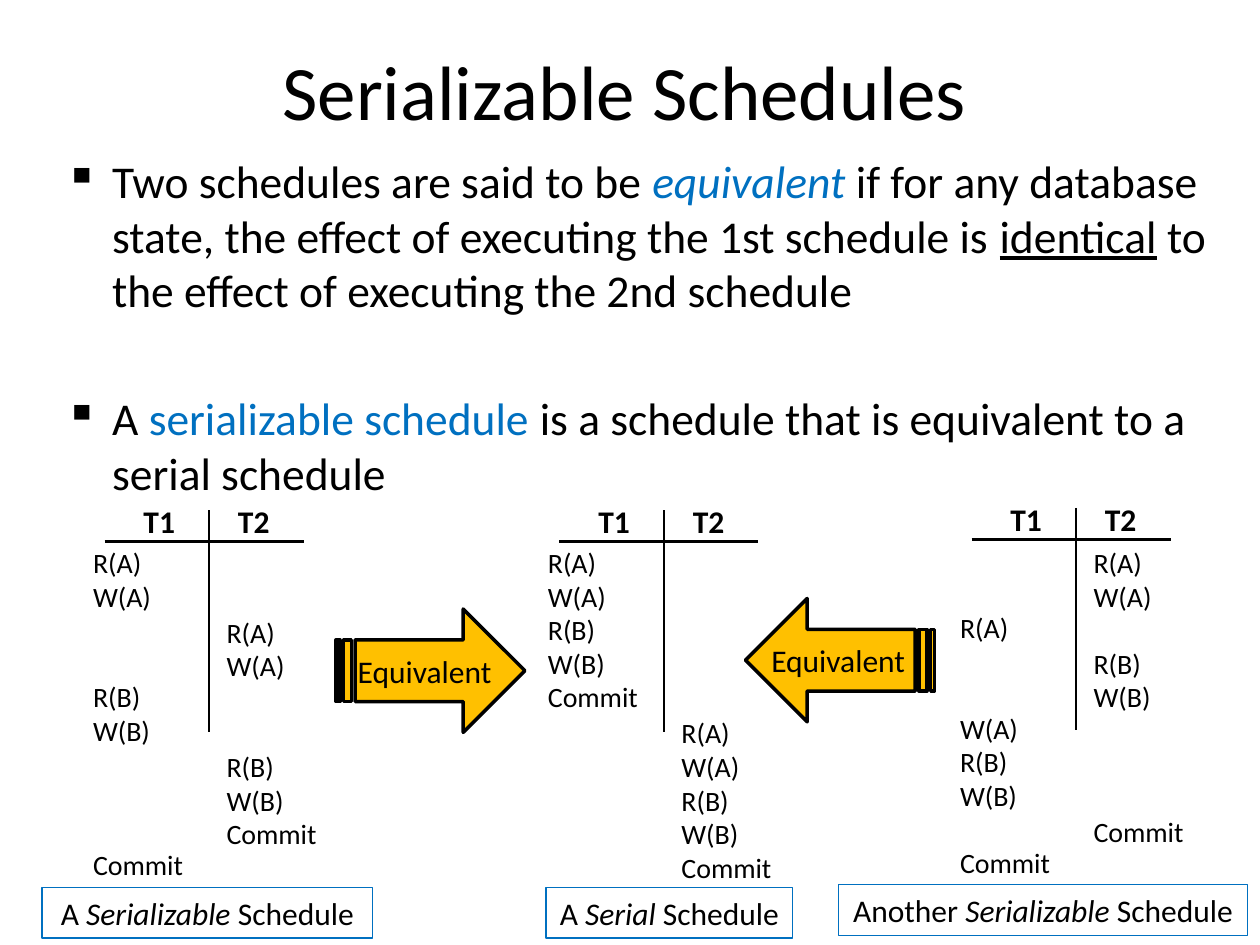
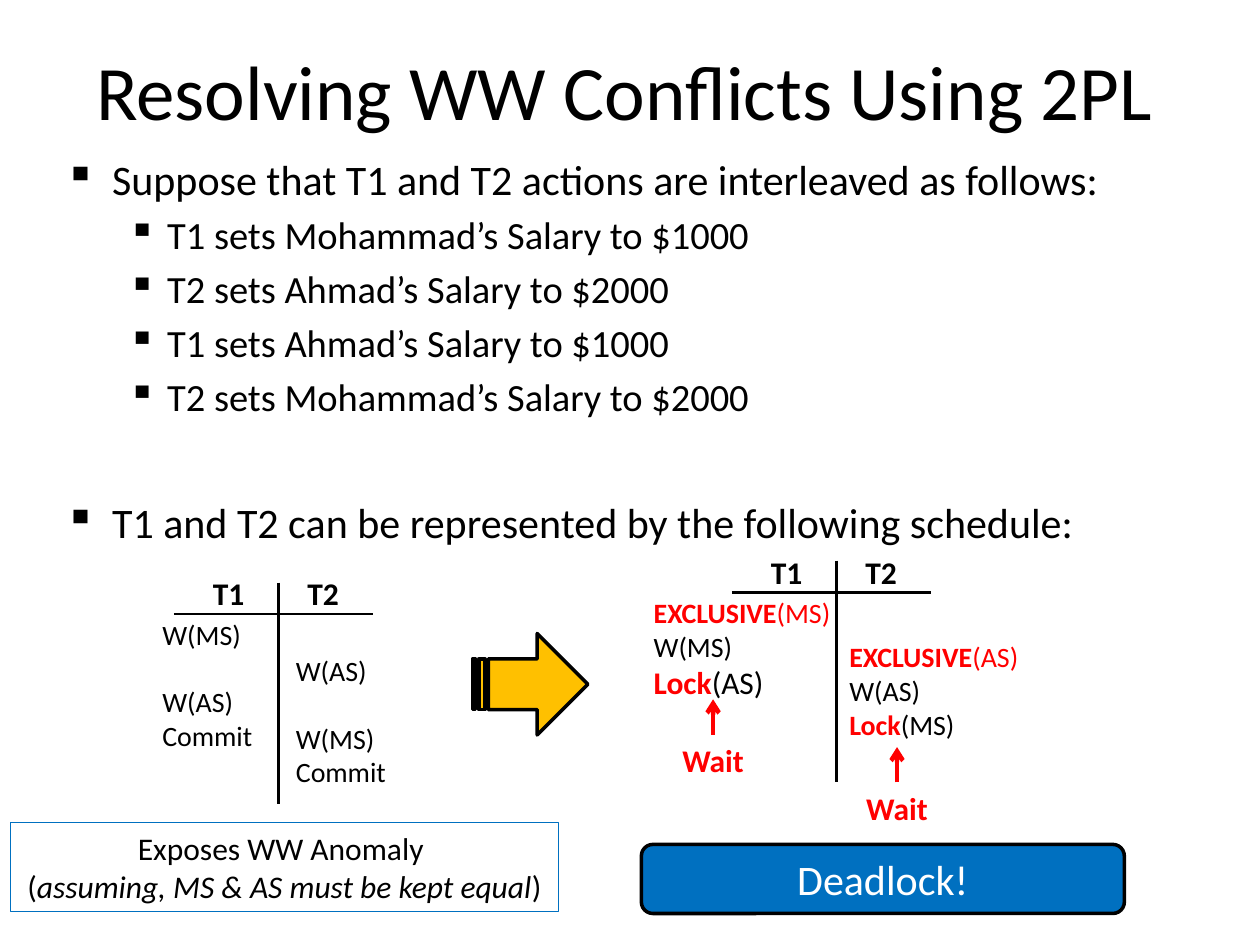
import pptx
import pptx.dml.color
import pptx.enum.shapes
import pptx.enum.text
import pptx.oxml.ns
import pptx.util
from lxml import etree

Pt = pptx.util.Pt
RGBColor = pptx.dml.color.RGBColor
SHAPE = pptx.enum.shapes.MSO_SHAPE
ALIGN = pptx.enum.text.PP_ALIGN
ANCHOR = pptx.enum.text.MSO_ANCHOR
qn = pptx.oxml.ns.qn

BLACK = RGBColor(0x00, 0x00, 0x00)
WHITE = RGBColor(0xFF, 0xFF, 0xFF)
BLUE = RGBColor(0x00, 0x70, 0xC0)
RED = RGBColor(0xFF, 0x00, 0x00)
AMBER = RGBColor(0xFF, 0xC0, 0x00)

FONT = "Calibri"
ROW = 19.2
BODY_INDENTS = [(27, -27), (58.5, -22.5)]
ITALIC = {"italic": True}
LOCK = {"bold": True, "color": RED}


class Deck:
    """Slide builder that holds the shared style and the current slide."""

    def __init__(self):
        self.presentation = pptx.Presentation()
        self.presentation.slide_width = Pt(720)
        self.presentation.slide_height = Pt(540)
        self.slide = None

    def start_slide(self, title):
        layout = self.presentation.slide_layouts[6]
        self.slide = self.presentation.slides.add_slide(layout)
        self.text(6, 6, 702, 90, [[title]], 44, align=ALIGN.CENTER, anchor=ANCHOR.MIDDLE)

    def style_font(self, font, values):
        for attribute, value in values.items():
            if attribute == "color":
                font.color.rgb = value
            else:
                setattr(font, attribute, value)

    def add_runs(self, paragraph, parts, size, **base):
        for part in parts:
            words, extra = (part, {}) if isinstance(part, str) else part
            run = paragraph.add_run()
            run.text = words
            style = {"name": FONT, "size": Pt(size), "color": BLACK}
            self.style_font(run.font, {**style, **base, **extra})

    def fill_frame(self, frame, lines, size, align=ALIGN.LEFT, gaps=(), **base):
        for index, parts in enumerate(lines):
            paragraph = frame.add_paragraph() if index else frame.paragraphs[0]
            paragraph.alignment = align
            if index and gaps:
                paragraph.space_before = Pt(gaps[index])
            self.add_runs(paragraph, parts, size, **base)

    def text(self, left, top, width, height, lines, size,
             wrap=True, anchor=ANCHOR.TOP, **style):
        box = self.slide.shapes.add_textbox(Pt(left), Pt(top), Pt(width), Pt(height))
        box.text_frame.word_wrap = wrap
        box.text_frame.vertical_anchor = anchor
        self.fill_frame(box.text_frame, lines, size, **style)
        return box

    def bullets(self, items, height):
        box = self.slide.shapes.add_textbox(Pt(30), Pt(84), Pt(681), Pt(height))
        box.text_frame.word_wrap = True
        for index, (level, size, gap, parts) in enumerate(items):
            paragraph = box.text_frame.add_paragraph() if index else box.text_frame.paragraphs[0]
            paragraph.level = level
            margin, indent = BODY_INDENTS[level]
            properties = paragraph._p.get_or_add_pPr()
            properties.set("marL", str(Pt(margin)))
            properties.set("indent", str(Pt(indent)))
            etree.SubElement(properties, qn("a:buChar")).set("char", "▪")
            if index:
                paragraph.space_before = Pt(gap)
            self.add_runs(paragraph, parts, size)

    def shape(self, kind, left, top, width, height, fill=None, line=BLACK,
              weight=2, lines=(), size=18, color=BLACK, wrap=True, side_inset=7.2):
        shape = self.slide.shapes.add_shape(kind, Pt(left), Pt(top), Pt(width), Pt(height))
        shape.shadow.inherit = False
        if fill is None:
            shape.fill.background()
        else:
            shape.fill.solid()
            shape.fill.fore_color.rgb = fill
        shape.line.color.rgb = line
        shape.line.width = Pt(weight)
        frame = shape.text_frame
        frame.word_wrap = wrap
        frame.margin_left = frame.margin_right = Pt(side_inset)
        self.fill_frame(frame, lines, size, align=ALIGN.CENTER, color=color)
        return shape

    def caption(self, left, top, width, lines, height=29):
        self.shape(SHAPE.RECTANGLE, left, top, width, height, line=BLUE,
                   weight=0.75, lines=lines, wrap=False)

    def block_arrow(self, left, top, width, height, **options):
        return self.shape(SHAPE.STRIPED_RIGHT_ARROW, left, top, width, height,
                          fill=AMBER, side_inset=0, **options)

    def line(self, x1, y1, x2, y2, color=BLACK, weight=1.5, arrow=False):
        line = self.slide.shapes.add_connector(
            pptx.enum.shapes.MSO_CONNECTOR.STRAIGHT, Pt(x1), Pt(y1), Pt(x2), Pt(y2))
        line.line.color.rgb = color
        line.line.width = Pt(weight)
        properties = line._element.spPr
        if arrow:
            etree.SubElement(properties.find(qn("a:ln")), qn("a:tailEnd")).set("type", "arrow")
        etree.SubElement(properties, qn("a:effectLst"))
        return line

    def schedule_grid(self, x, y):
        self.line(x, y - 18, x, y + 108.7)
        self.line(x - 59.7, y, x + 54, y)
        for name, offset in (("T1", -44.6), ("T2", 9.4)):
            self.text(x + offset, y - 26.2, 40, 29, [[name]], 18, bold=True)

    def steps(self, left, top, actions):
        """Place actions one per row, where a dot stands for an idle row."""
        lines, gaps, idle = [], [], 0
        for action in actions.split():
            if action == ".":
                idle += 1
                continue
            if not lines:
                top += idle * ROW
            lines.append([action])
            gaps.append(idle * ROW)
            idle = 0
        height = len(lines) * ROW + sum(gaps[1:]) + 7.2
        self.text(left, top, 90, height, lines, 16, gaps=gaps)

    def schedule(self, x, y, first, second):
        self.schedule_grid(x, y)
        self.steps(x - 73.4, y - 1.4, first)
        self.steps(x + 2.9, y, second)

    def wait(self, left, top):
        label = self.text(left, top, 50.4, 29, [["Wait"]], 18, wrap=False,
                          align=ALIGN.CENTER, bold=True, color=RED)
        middle = left + 25.2
        pointer = self.line(middle, top, middle, top - 20.2, RED, 2.5, arrow=True)
        pointer.begin_connect(label, 0)


def serializable_schedules(deck):
    deck.start_slide("Serializable Schedules")
    deck.bullets([
        (0, 26, 0, ["Two schedules are said to be ",
                    ("equivalent", {"italic": True, "color": BLUE}),
                    " if for any database state, the effect of executing the 1st schedule is ",
                    ("identical", {"underline": True}),
                    " to the effect of executing the 2nd schedule"]),
        (0, 26, 42, ["A ", ("serializable schedule ", {"color": BLUE}),
                     "is a schedule that is equivalent to a serial schedule"]),
    ], 402)
    serial = "R(A) W(A) R(B) W(B) Commit"
    deck.schedule(119.5, 309.6, "R(A) W(A) . . R(B) W(B) . . . Commit",
                  ". . R(A) W(A) . . R(B) W(B) Commit")
    deck.schedule(379.4, 309.6, serial, ". . . . . " + serial)
    deck.schedule(614.9, 308.2, ". . R(A) . . W(A) R(B) W(B) . Commit",
                  "R(A) W(A) . R(B) W(B) . . . Commit")
    for left, top, width, article, kind in (
            (24, 507, 189, "A ", "Serializable"),
            (312, 507, 141, "A ", "Serial"),
            (479, 505.5, 234, "Another ", "Serializable")):
        deck.caption(left, top, width, [[article, (kind, ITALIC), " Schedule"]])
    deck.block_arrow(192, 348, 108, 70.5, lines=[["Equivalent"]], wrap=False)
    deck.block_arrow(426, 342, 108, 70.5).rotation = 180
    deck.text(433, 363, 92, 29, [["Equivalent"]], 18, wrap=False, align=ALIGN.CENTER)


def resolving_conflicts(deck):
    deck.start_slide("Resolving WW Conflicts Using 2PL")
    updates = [("T1", "Mohammad", 1000), ("T2", "Ahmad", 2000),
               ("T1", "Ahmad", 1000), ("T2", "Mohammad", 2000)]
    deck.bullets(
        [(0, 24, 0, ["Suppose that T1 and T2 actions are interleaved as follows:"])]
        + [(1, 22, 4.4, [f"{transaction} sets {person}’s Salary to ${amount}"])
           for transaction, person, amount in updates]
        + [(0, 24, 44, ["T1 and T2 can be represented by the following schedule:"])], 414)
    deck.schedule(159.1, 350.9, "W(MS) . W(AS) Commit", ". W(AS) . W(MS) Commit")
    deck.caption(6, 470, 313, [["Exposes WW Anomaly "], [
        "(", ("assuming, MS & AS must be kept equal", ITALIC), ")"]], 51)
    deck.block_arrow(270, 362, 66, 58)
    deck.schedule_grid(478, 338.4)
    for left, top, held, wanted, size in ((366.5, 337, "MS", "AS", 18),
                                          (478.3, 362.2, "AS", "MS", 16)):
        deck.text(left, top, 130, 67, [
            [("EXCLUSIVE", LOCK), (f"({held})", {"color": RED})],
            [f"W({held})"],
            [("Lock", {**LOCK, "size": Pt(size)}), (f"({wanted})", {"size": Pt(size)})],
        ], 16)
    deck.wait(382.3, 419.8)
    deck.wait(487.4, 447.1)
    deck.shape(SHAPE.ROUNDED_RECTANGLE, 366.5, 482.5, 276, 39.5, fill=BLUE,
               lines=[["Deadlock!"]], size=24, color=WHITE)


def main():
    deck = Deck()
    serializable_schedules(deck)
    resolving_conflicts(deck)
    deck.presentation.save("out.pptx")


if __name__ == "__main__":
    main()
